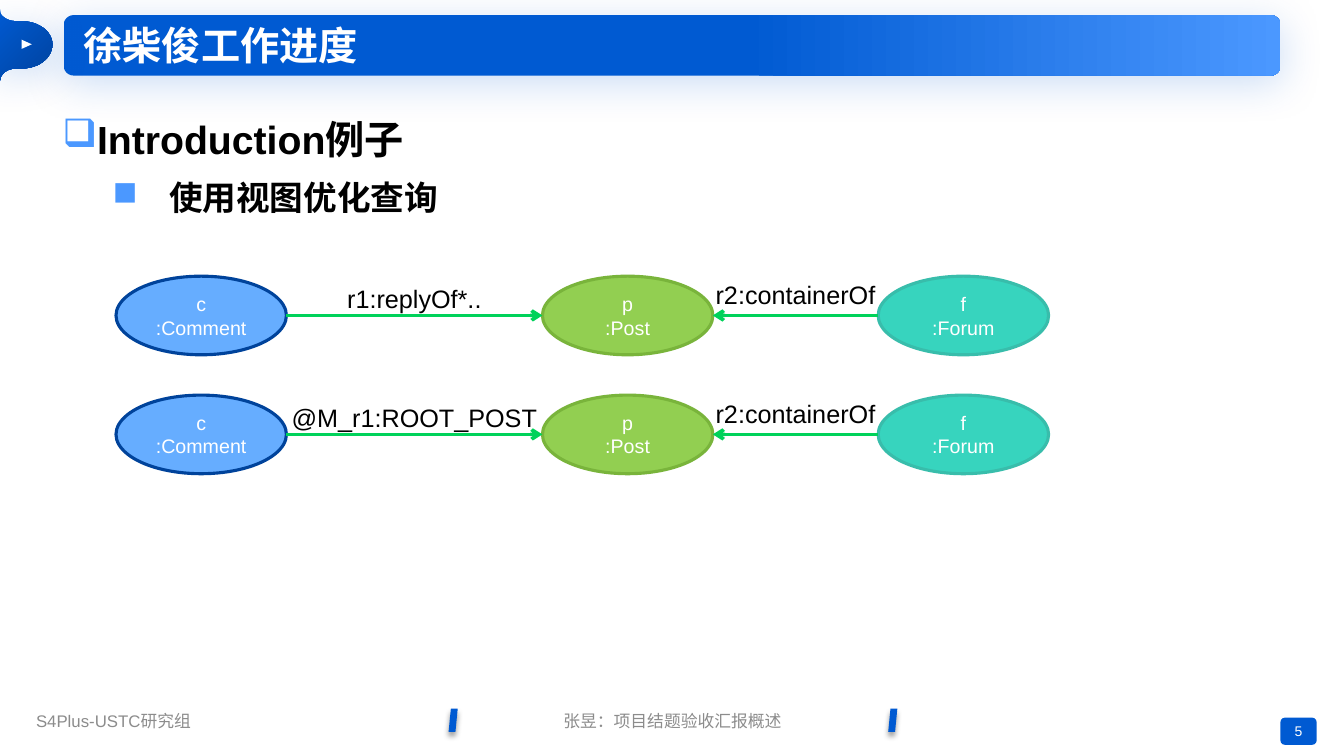
from lxml.etree import SubElement
from pptx import Presentation
from pptx.dml.color import RGBColor
from pptx.enum.shapes import MSO_CONNECTOR as Connector, MSO_SHAPE as Preset
from pptx.enum.text import MSO_ANCHOR as Anchor, PP_ALIGN as Align
from pptx.oxml.ns import qn
from pptx.util import Inches, Pt

WIDTH, HEIGHT = Inches(13.33), Inches(7.5)
FONT = "Arial"
COLORS = {
    "blue": "005AD2", "light": "4B98FF", "deep": "00439E", "white": "FFFFFF",
    "black": "000000", "gray": "8C8C8C", "arrow": "00D25A",
    "comment": "66ADFF", "comment_edge": "00439B",
    "post": "92CF51", "post_edge": "79B43B",
    "forum": "37D4BE", "forum_edge": "38BDAB",
}
GLOW = ("blue", 20, 30, 5)
DROP = ("black", 40, 4, 3)

NODES = [("c", "Comment", 8.63), ("p", "Post", 40.36), ("f", "Forum", 65.34)]
NODE_WIDTH, NODE_HEIGHT = 12.68, 10.4
FIRST_ROW, ROW_STEP = 36.53, 15.73
ROW_LABELS = [("r1:replyOf*..", "r2:containerOf"),
              ("@M_r1:ROOT_POST", "r2:containerOf")]


def across(percent):
    return round(WIDTH * percent / 100)


def down(percent):
    return round(HEIGHT * percent / 100)


def area(left, top, width, height):
    """Turn shares of the slide, in percent, into lengths."""
    return across(left), down(top), across(width), down(height)


def color(name):
    return RGBColor.from_string(COLORS[name])


def add_shadow(shape, name, alpha, blur, distance):
    effects = shape.element.spPr.find(qn("a:effectLst"))
    outer = SubElement(effects, qn("a:outerShdw"), blurRad=str(Pt(blur)),
                       dist=str(Pt(distance)), dir="5400000", rotWithShape="0")
    tint = SubElement(outer, qn("a:srgbClr"), val=COLORS[name])
    SubElement(tint, qn("a:alpha"), val=str(alpha * 1000))


def paint(shape, fill, edge=None, shadow=None):
    shape.shadow.inherit = False
    shape.fill.solid()
    shape.fill.fore_color.rgb = color(fill)
    if edge:
        shape.line.color.rgb = color(edge)
        shape.line.width = Pt(2.25)
    else:
        shape.line.fill.background()
    if shadow:
        add_shadow(shape, *shadow)


def paint_gradient(shape, stops, angle):
    shape.fill.gradient()
    shape.fill.gradient_angle = angle
    for stop, (position, name) in zip(shape.fill.gradient_stops, stops):
        stop.position = position
        stop.color.rgb = color(name)


def add_preset(slide, preset, place, fill, edge=None, shadow=None):
    shape = slide.shapes.add_shape(preset, *area(*place))
    paint(shape, fill, edge, shadow)
    return shape


def set_margins(frame, left=0):
    frame.margin_left = Inches(left)
    frame.margin_top = frame.margin_right = frame.margin_bottom = 0


def write(para, text, size, name, bold=False, align=Align.CENTER):
    para.alignment = align
    span = para.add_run()
    span.text = text
    span.font.name, span.font.size, span.font.bold = FONT, Pt(size), bold
    span.font.color.rgb = color(name)


def add_text(slide, place, text, size, name, spacing=None, anchor=Anchor.TOP):
    frame = slide.shapes.add_textbox(*area(*place)).text_frame
    frame.word_wrap = True
    frame.vertical_anchor = anchor
    para = frame.paragraphs[0]
    para.line_spacing = spacing
    write(para, text, size, name)


def add_bullet(para, mark, margin, hanging):
    props = para._p.get_or_add_pPr()
    props.set("marL", str(Inches(margin)))
    props.set("indent", str(-Inches(hanging)))
    tint = SubElement(props, qn("a:buClr"))
    SubElement(tint, qn("a:srgbClr"), val=COLORS["light"])
    SubElement(props, qn("a:buChar"), char=mark)


def curve(start, first, second, end, steps=12):
    """Points along a cubic curve, without its start."""
    for step in range(1, steps + 1):
        t = step / steps
        yield tuple((1 - t) ** 3 * a + 3 * (1 - t) ** 2 * t * b
                    + 3 * (1 - t) * t ** 2 * c + t ** 3 * d
                    for a, b, c, d in zip(start, first, second, end))


def add_side_tab(slide):
    points = [(0, 1.2), (0.08, 1.87)]
    points += curve(points[-1], (0.3, 2.4), (0.68, 2.8), (1.2, 2.8))
    points.append((1.58, 2.8))
    points += curve(points[-1], (2.85, 2.8), (3.9, 4.13), (3.9, 5.87))
    points += curve(points[-1], (3.9, 7.73), (2.85, 9.07), (1.58, 9.07))
    points.append((1.2, 9.07))
    points += curve(points[-1], (0.68, 9.07), (0.3, 9.47), (0.08, 10.13))
    points.append((0, 10.67))
    outline = [(across(x), down(y)) for x, y in points]
    builder = slide.shapes.build_freeform(*outline[0])
    builder.add_line_segments(outline[1:], close=True)
    tab = builder.convert_to_shape()
    paint(tab, "blue", shadow=GLOW)
    paint_gradient(tab, [(0, "blue"), (1, "deep")], 315)
    pointer = add_preset(slide, Preset.ISOSCELES_TRIANGLE,
                         (1.65, 5.2, 0.68, 1.33), "white", shadow=GLOW)
    pointer.rotation = 90


def add_title(slide, text):
    title = slide.shapes.title
    bar = add_preset(slide, Preset.ROUNDED_RECTANGLE, (4.73, 2, 90.55, 8),
                     "blue", shadow=GLOW)
    paint_gradient(bar, [(0.56, "blue"), (1, "light")], 0)
    title.element.addprevious(bar.element)
    title.left, title.top, title.width, title.height = area(4.73, 2.8, 90.55, 6.4)
    frame = title.text_frame
    set_margins(frame, 0.2)
    frame.vertical_anchor = Anchor.MIDDLE
    write(frame.paragraphs[0], text, 28, "white", True, Align.LEFT)


def add_outline(slide):
    frame = slide.shapes.add_textbox(*area(3.9, 13.33, 91.37, 79.33)).text_frame
    frame.word_wrap = True
    heading, detail = frame.paragraphs[0], frame.add_paragraph()
    detail.level = 1
    detail.space_before = Pt(5)
    for para, mark, margin, hanging, text, size in (
            (heading, "❑", 0.25, 0.25, "Introduction例子", 28),
            (detail, "■", 1.06, 0.56, "使用视图优化查询", 24)):
        para.line_spacing = 1.2
        add_bullet(para, mark, margin, hanging)
        write(para, text, size, "black", True, Align.LEFT)


def add_node(slide, variable, kind, left, top):
    key = kind.lower()
    node = add_preset(slide, Preset.OVAL, (left, top, NODE_WIDTH, NODE_HEIGHT),
                      key, key + "_edge")
    frame = node.text_frame
    frame.vertical_anchor = Anchor.MIDDLE
    write(frame.paragraphs[0], variable, 14, "white")
    write(frame.add_paragraph(), ":" + kind, 14, "white")


def add_arrow(slide, start, end, level):
    arrow = slide.shapes.add_connector(Connector.STRAIGHT, across(start),
                                       down(level), across(end), down(level))
    arrow.line.color.rgb = color("arrow")
    arrow.line.width = Pt(2.5)
    SubElement(arrow.line._get_or_add_ln(), qn("a:tailEnd"), type="arrow")
    SubElement(arrow.element.spPr, qn("a:effectLst"))


def add_graph_row(slide, top, labels):
    for variable, kind, left in NODES:
        add_node(slide, variable, kind, left, top)
    comment, post, forum = (left for _, _, left in NODES)
    links = ((comment + NODE_WIDTH, post, 0.93), (forum, post + NODE_WIDTH, 1.4))
    for label, (start, end, lift) in zip(labels, links):
        add_arrow(slide, start, end, top + NODE_HEIGHT / 2)
        add_text(slide, ((start + end) / 2 - 10, top - lift, 20, 6.53),
                 label, 18, "black", 1.3)


def add_footer(slide):
    for text, left, width in (("S4Plus-USTC研究组", 1.58, 13.73),
                              ("张昱：项目结题验收汇报概述", 33.16, 33.76)):
        add_text(slide, (left, 92.67, width, 5.33), text, 12, "gray",
                 anchor=Anchor.MIDDLE)
    for left in (33.38, 66.09):
        add_preset(slide, Preset.PARALLELOGRAM, (left, 93.73, 0.68, 3.07),
                   "blue", shadow=DROP)
    number = add_preset(slide, Preset.ROUNDED_RECTANGLE,
                        (95.27, 94.93, 2.7, 3.6), "blue")
    set_margins(number.text_frame)
    number.text_frame.vertical_anchor = Anchor.MIDDLE
    write(number.text_frame.paragraphs[0], "5", 10, "white")


def main():
    deck = Presentation()
    deck.slide_width, deck.slide_height = WIDTH, HEIGHT
    page = deck.slides.add_slide(deck.slide_layouts[5])
    add_side_tab(page)
    add_title(page, "徐柴俊工作进度")
    add_outline(page)
    for row, labels in enumerate(ROW_LABELS):
        add_graph_row(page, FIRST_ROW + row * ROW_STEP, labels)
    add_footer(page)
    deck.save("out.pptx")


if __name__ == "__main__":
    main()
